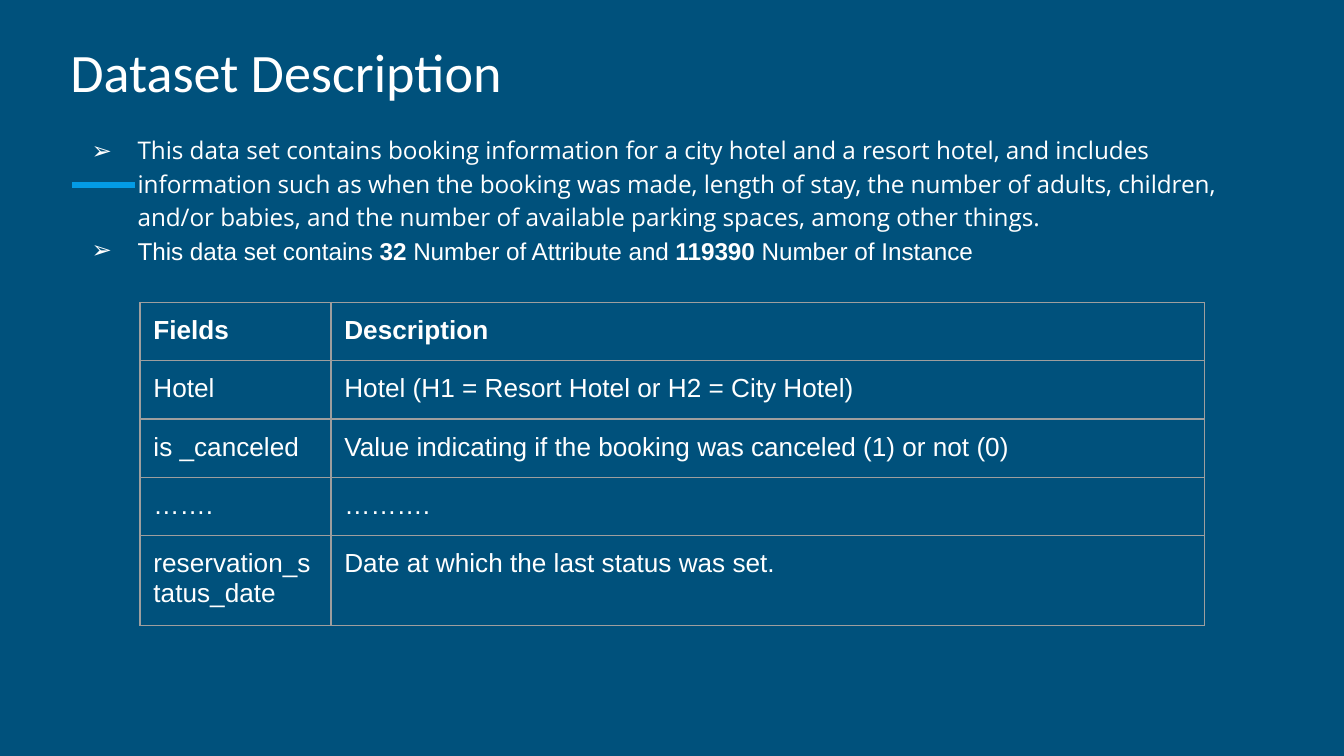
from lxml import etree
from pptx import Presentation
from pptx import util as u
from pptx.dml.color import RGBColor
from pptx.enum import shapes, text
from pptx.oxml.ns import qn

PX = 3810
PAD = 24
WHITE, BORDER = "FFFFFF", "9E9E9E"
BULLETS = [
    ("Open Sans", 12, [
        ("This data set contains booking information for a city hotel and a resort hotel, "
         "and includes information such as when the booking was made, length of stay, "
         "the number of adults, children, and/or babies, and the number of available "
         "parking spaces, among other things.", False)]),
    ("Arial", 0, [
        ("This data set contains ", False), ("32 ", True),
        ("Number of Attribute and ", False), ("119390 ", True),
        ("Number of Instance", False)]),
]
FIELDS = [
    ("Fields", "Description"),
    ("Hotel", "Hotel (H1 = Resort Hotel or H2 = City Hotel)"),
    ("is _canceled", "Value indicating if the booking was canceled (1) or not (0)"),
    ("…….", "………."),
    ("reservation_status_date", "Date at which the last status was set."),
]


def px(*values):
    """Turn px lengths into EMU."""
    return [v * PX for v in values]


def color(target, value):
    """Apply a hex colour to a fill, line or font colour format."""
    target.rgb = RGBColor.from_string(value)


def set_margins(box):
    """Give a text frame or cell equal margins."""
    box.margin_left, box.margin_top, box.margin_right, box.margin_bottom = px(*[PAD] * 4)


def add_run(p, words, font, size, bold=False):
    """Add one white run to a paragraph."""
    r = p.add_run()
    r.text = words
    r.font.name, r.font.size, r.font.bold = font, u.Pt(size), bold
    color(r.font.color, WHITE)


def add_text(s, x, y, w, h, anchor):
    """Add a wrapping text box and return its frame."""
    tf = s.shapes.add_textbox(*px(x, y, w, h)).text_frame
    tf.word_wrap = True
    tf.vertical_anchor = anchor
    set_margins(tf)
    return tf


def add_title(s, x, y, w, h):
    """Place the slide title."""
    tf = add_text(s, x, y, w, h, text.MSO_ANCHOR.BOTTOM)
    add_run(tf.paragraphs[0], "Dataset Description", "Calibri", 29)


def add_accent(s, x, y, w):
    """Place the short accent line."""
    line = s.shapes.add_connector(shapes.MSO_CONNECTOR.STRAIGHT, *px(x, y, x + w, y))
    color(line.line.color, "039BE5")
    line.line.width = u.Pt(3)
    etree.SubElement(line._element.spPr, qn("a:effectLst"))


def set_bullet(p, char, font, margin, indent):
    """Give a paragraph a white hanging bullet."""
    pPr = p._p.get_or_add_pPr()
    pPr.set("marL", str(margin * PX))
    pPr.set("indent", str(indent * PX))
    clr = etree.SubElement(pPr, qn("a:buClr"))
    etree.SubElement(clr, qn("a:srgbClr"), val=WHITE)
    etree.SubElement(pPr, qn("a:buFont"), typeface=font)
    etree.SubElement(pPr, qn("a:buChar"), char=char)


def add_bullets(s, x, y, w, h):
    """Place the bulleted summary."""
    tf = add_text(s, x, y, w, h, text.MSO_ANCHOR.TOP)
    for i, (font, before, runs) in enumerate(BULLETS):
        p = tf.add_paragraph() if i else tf.paragraphs[0]
        p.line_spacing = 1.15
        p.space_before = u.Pt(before)
        set_bullet(p, "➢", font, 120, -82)
        for words, bold in runs:
            add_run(p, words, font, 13, bold)


def set_borders(cell):
    """Draw all four borders of a cell."""
    tcPr = cell._tc.get_or_add_tcPr()
    for side in ("lnL", "lnR", "lnT", "lnB"):
        ln = etree.SubElement(tcPr, qn("a:" + side), w=str(u.Pt(0.75)))
        fill = etree.SubElement(ln, qn("a:solidFill"))
        etree.SubElement(fill, qn("a:srgbClr"), val=BORDER)


def add_fields(s, x, y, widths, row_h, side):
    """Place the table of fields in a square frame."""
    n = len(FIELDS)
    frame = s.shapes.add_table(n, len(widths), *px(x, y, sum(widths), n * row_h))
    table = frame.table
    table.horz_banding = False
    for col, w in zip(table.columns, px(*widths)):
        col.width = w
    for i, row in enumerate(FIELDS):
        table.rows[i].height = row_h * PX
        for j, words in enumerate(row):
            cell = table.cell(i, j)
            set_margins(cell)
            set_borders(cell)
            cell.fill.background()
            add_run(cell.text_frame.paragraphs[0], words, "Arial", 14, i == 0)
    frame.width, frame.height = px(side, side)


def main():
    """Build the slide and save it."""
    prs = Presentation()
    prs.slide_width, prs.slide_height = px(2400, 1350)
    s = prs.slides.add_slide(prs.slide_layouts[6])
    s.background.fill.solid()
    color(s.background.fill.fore_color, "00517C")
    add_accent(s, 129, 330, 112)
    add_title(s, 102, 29, 2196, 180)
    add_bullets(s, 102, 210, 2196, 989)
    add_fields(s, 250, 540, (341, 1560), 100, 787)
    prs.save("out.pptx")


if __name__ == "__main__":
    main()
